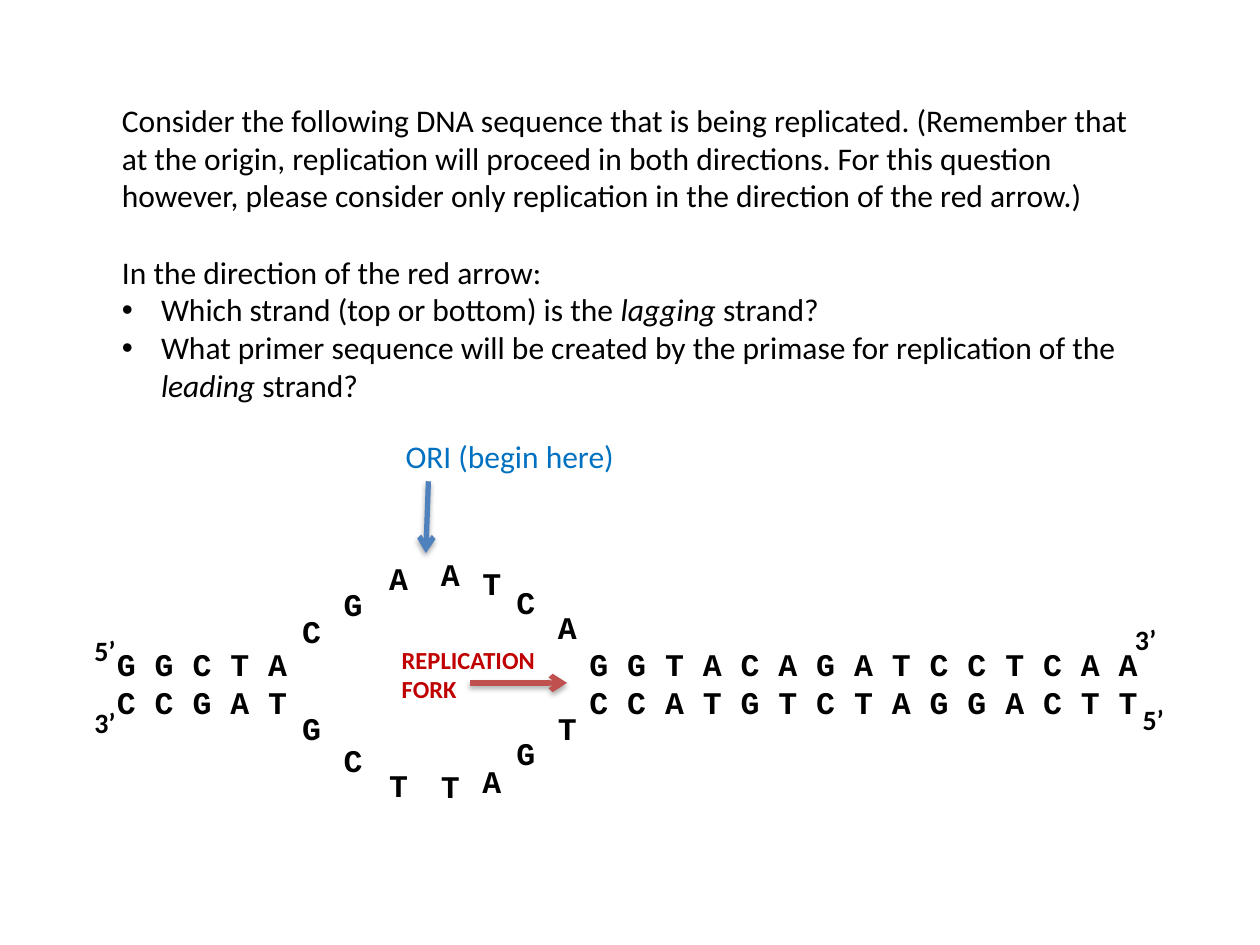
from dataclasses import dataclass

from lxml import etree
from pptx import Presentation
from pptx import util as u
from pptx.dml.color import RGBColor
from pptx.enum import shapes, text
from pptx.oxml import parse_xml
from pptx.oxml.ns import nsdecls, qn


@dataclass(frozen=True)
class Theme:
    sans: str = "Calibri"
    mono: str = "Courier New"
    ink: str = "000000"
    ori: str = "0070C0"
    ori_arrow: str = "4F81BD"
    fork: str = "C00000"
    fork_arrow: str = "C0504D"
    body: int = 18
    end: int = 16
    label: int = 14
    line: int = 3


SHADOW = f"""<a:effectLst {nsdecls('a')}>
  <a:outerShdw blurRad="39370" dist="22860" dir="5400000" rotWithShape="0">
    <a:srgbClr val="000000"><a:alpha val="35000"/></a:srgbClr>
  </a:outerShdw>
</a:effectLst>"""


def add_text(p, words, font, size, color, bold=False):
    for i, part in enumerate(words.split("*")):
        if part:
            r = p.add_run()
            r.text = part
            r.font.name, r.font.size = font, u.Pt(size)
            r.font.bold, r.font.italic = bold, i % 2 == 1
            r.font.color.rgb = RGBColor.from_string(color)


class Deck:
    columns, rows = 100, 75

    def __init__(self, theme):
        self.theme = theme
        self.prs = Presentation()
        self.prs.slide_width, self.prs.slide_height = u.Inches(10), u.Inches(7.5)
        self.s = self.prs.slides.add_slide(self.prs.slide_layouts[6])

    def x(self, column):
        return round(self.prs.slide_width * column / self.columns)

    def y(self, row):
        return round(self.prs.slide_height * row / self.rows)

    def box(self, place, lines, font=None, size=None, color=None, bold=False, wrap=True):
        t = self.theme
        left, top, width, height = place
        sp = self.s.shapes.add_textbox(self.x(left), self.y(top), self.x(width), self.y(height))
        tf = sp.text_frame
        tf.word_wrap = wrap
        tf.auto_size = text.MSO_AUTO_SIZE.SHAPE_TO_FIT_TEXT
        for i, words in enumerate(lines):
            p = tf.paragraphs[0] if i == 0 else tf.add_paragraph()
            add_text(p, words, font or t.sans, size or t.body, color or t.ink, bold)
        return tf.paragraphs

    def bases(self, place, *strands):
        self.box(place, [" ".join(strand) for strand in strands], font=self.theme.mono, bold=True)

    def end(self, left, top, words):
        self.box((left, top, 3.7, 3.7), [words], size=self.theme.end, bold=True, wrap=False)

    def bullet(self, p):
        pr = p._p.get_or_add_pPr()
        pr.set("marL", str(u.Inches(0.31)))
        pr.set("indent", str(-u.Inches(0.31)))
        etree.SubElement(pr, qn("a:buFont")).set("typeface", "Arial")
        etree.SubElement(pr, qn("a:buChar")).set("char", "•")

    def arrow(self, start, stop, color):
        c = self.s.shapes.add_connector(
            shapes.MSO_CONNECTOR.STRAIGHT,
            self.x(start[0]), self.y(start[1]), self.x(stop[0]), self.y(stop[1]))
        c.line.color.rgb = RGBColor.from_string(color)
        c.line.width = u.Pt(self.theme.line)
        pr = c._element.spPr
        etree.SubElement(pr.find(qn("a:ln")), qn("a:tailEnd")).set("type", "arrow")
        pr.append(parse_xml(SHADOW))


QUESTION = [
    "Consider the following DNA sequence that is being replicated. (Remember that at the "
    "origin, replication will proceed in both directions. For this question however, please "
    "consider only replication in the direction of the red arrow.)",
    "In the direction of the red arrow:",
    "Which strand (top or bottom) is the *lagging* strand?",
    "What primer sequence will be created by the primase for replication of the *leading* strand?",
]
BUBBLE = [
    (23, "C", 48.1, "G", 55.8),
    (26.3, "G", 45.9, "C", 58.3),
    (29.9, "A", 43.9, "T", 60.3),
    (34, "A", 43.6, "T", 60.4),
    (37.3, "T", 44.3, "A", 60),
    (40, "C", 45.8, "G", 57.8),
    (43.3, "A", 47.8, "T", 55.8),
]
ENDS = [(6.5, 49.8, "5’"), (89.7, 55.3, "5’"), (6.5, 55.5, "3’"), (89.1, 48.9, "3’")]


def main():
    t = Theme()
    d = Deck(t)

    d.bases((8.3, 50.7, 17, 7.1), "GGCTA", "CCGAT")
    d.bases((45.8, 50.7, 48.3, 7.1), "GGTACAGATCCTCAA", "CCATGTCTAGGACTT")
    for column, top, top_row, bottom, bottom_row in BUBBLE:
        d.bases((column, top_row, 3.3, 4), top)
        d.bases((column, bottom_row, 3.3, 4), bottom)
    for left, top, words in ENDS:
        d.end(left, top, words)

    d.arrow((37.3, 54.2), (45, 54.2), t.fork_arrow)
    d.box((30.9, 50.7, 12.7, 5.7), ["REPLICATION", "FORK"],
          size=t.label, color=t.fork, bold=True, wrap=False)
    d.arrow((34, 38.2), (33.8, 43.9), t.ori_arrow)
    d.box((31.2, 34.2, 18.8, 4), ["ORI (begin here)"], color=t.ori, wrap=False)

    paragraphs = d.box((8.7, 7.5, 84, 25.2), QUESTION)
    paragraphs[1].space_before = u.Pt(22)
    for p in paragraphs[2:]:
        d.bullet(p)

    d.prs.save("out.pptx")


if __name__ == "__main__":
    main()
